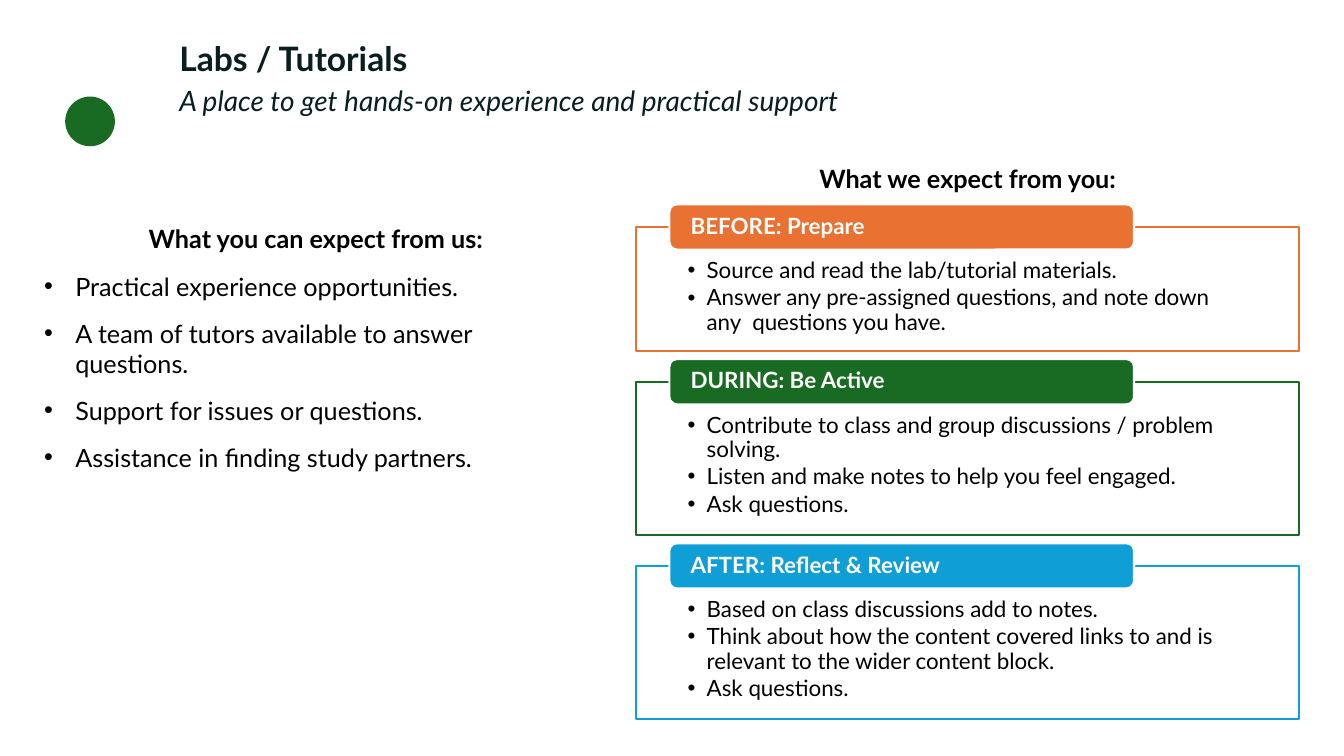
from lxml import etree
from pptx import Presentation, util as u
from pptx.dml.color import RGBColor
from pptx.enum import shapes, text
from pptx.oxml.ns import qn

ORANGE, GREEN, BLUE = "E97132", "196B24", "0F9ED5"
WHITE, BLACK, DARK = "FFFFFF", "000000", "081E21"
SHAPE, ALIGN = shapes.MSO_SHAPE, text.PP_ALIGN
MIDDLE, TOP = text.MSO_ANCHOR.MIDDLE, text.MSO_ANCHOR.TOP


def paint(color, code):
    color.rgb = RGBColor.from_string(code)


def put(frame, words, size=18, color=BLACK, bold=False, italic=False,
        align=ALIGN.LEFT, line=1.0, after=0, hang=0, font="Lato"):
    first = frame.paragraphs[0]
    para = frame.add_paragraph() if first.runs else first
    para.alignment, para.line_spacing = align, line
    para.space_before, para.space_after = u.Pt(0), u.Pt(after)
    if hang:
        props = para._p.get_or_add_pPr()
        props.set("marL", str(u.Cm(hang)))
        props.set("indent", str(-u.Cm(hang)))
        etree.SubElement(props, qn("a:buFont"), typeface="Arial")
        etree.SubElement(props, qn("a:buChar"), char="•")
    run = para.add_run()
    run.text = words
    run.font.name, run.font.size = font, u.Pt(size)
    run.font.bold, run.font.italic = bold, italic
    paint(run.font.color, color)


class Deck:
    """Holds the slide and draws each kind of element in its style."""

    def __init__(self):
        self.show = Presentation()
        self.show.slide_width, self.show.slide_height = u.Cm(33.87), u.Cm(19.05)
        self.slide = self.show.slides.add_slide(self.show.slide_layouts[5])

    def frame(self, item, pads, anchor=TOP):
        frame = item.text_frame
        frame.word_wrap, frame.auto_size = True, text.MSO_AUTO_SIZE.NONE
        frame.vertical_anchor = anchor
        (frame.margin_left, frame.margin_top,
         frame.margin_right, frame.margin_bottom) = [u.Cm(pad) for pad in pads]
        return frame

    def title(self, box):
        item = self.slide.shapes.title
        item.left, item.top, item.width, item.height = [u.Cm(n) for n in box]
        return self.frame(item, [0.25] * 4, MIDDLE)

    def label(self, box):
        item = self.slide.shapes.add_textbox(*[u.Cm(n) for n in box])
        return self.frame(item, (0.25, 0.13, 0.25, 0.13))

    def shape(self, kind, box, fill, line, alpha=100):
        item = self.slide.shapes.add_shape(kind, *[u.Cm(n) for n in box])
        item.shadow.inherit = False
        item.fill.solid()
        paint(item.fill.fore_color, fill)
        paint(item.line.color, line)
        item.line.width = u.Pt(1.5)
        if alpha < 100:
            tint = item._element.spPr.find(qn("a:solidFill"))[0]
            etree.SubElement(tint, qn("a:alpha"), val=str(alpha * 1000))
        return item

    def card(self, top, high, color, head, points):
        body = self.shape(SHAPE.RECTANGLE, (16.03, top, 16.71, high), WHITE, color, 90)
        frame = self.frame(body, (1.3, 0.81, 1.3, 0.3))
        for point in points:
            put(frame, point, size=16, line=0.9, after=2.4, hang=0.48)
        tab = self.shape(SHAPE.ROUNDED_RECTANGLE, (16.87, top - 0.57, 11.71, 1.14),
                         color, WHITE)
        put(self.frame(tab, (0.48, 0, 0.48, 0), MIDDLE), head,
            size=16, color=WHITE, bold=True, line=0.9)


def main():
    deck = Deck()
    deck.shape(SHAPE.OVAL, (1.67, 2.46, 1.2, 1.2), GREEN, GREEN)
    title = deck.title((4.27, 0.64, 18.77, 2.49))
    put(title, "Labs / Tutorials", size=24, color=DARK, bold=True, line=1.15)
    put(title, "A place to get hands-on experience and practical support",
        size=20, color=DARK, italic=True, line=1.15)

    offer = deck.label((0.86, 5.51, 14.2, 7.01))
    put(offer, "What you can expect from us:", bold=True, align=ALIGN.CENTER, after=12)
    for point in ("Practical experience opportunities.",
                  "A team of tutors available to answer questions.",
                  "Support for issues or questions.",
                  "Assistance in finding study partners."):
        put(offer, point, after=12, hang=0.79)

    put(deck.label((16.03, 3.99, 16.71, 1.02)), "What we expect from you:",
        bold=True, align=ALIGN.CENTER)
    cards = (
        (3.12, ORANGE, "BEFORE: Prepare", (
            "Source and read the lab/tutorial materials.",
            "Answer any pre-assigned questions, and note down any  questions you have.")),
        (3.86, GREEN, "DURING: Be Active", (
            "Contribute to class and group discussions / problem solving.",
            "Listen and make notes to help you feel engaged.",
            "Ask questions.")),
        (3.86, BLUE, "AFTER: Reflect & Review", (
            "Based on class discussions add to notes.",
            "Think about how the content covered links to and is relevant "
            "to the wider content block.",
            "Ask questions.")),
    )
    top, gap = 5.72, 0.78
    for high, color, head, points in cards:
        deck.card(top, high, color, head, points)
        top += high + gap
    deck.show.save("out.pptx")


if __name__ == "__main__":
    main()
